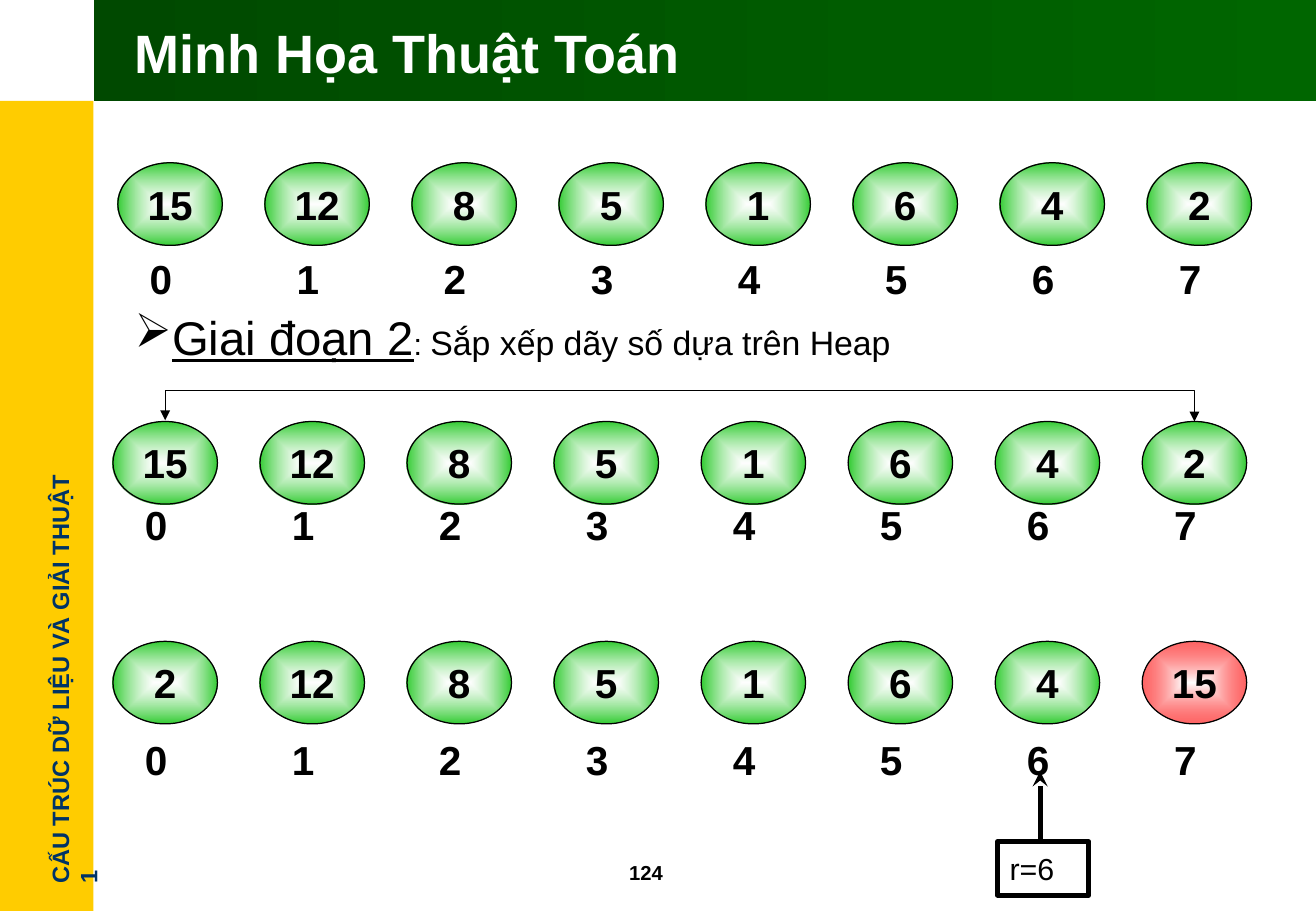
from lxml import etree
from pptx import Presentation
from pptx.dml.color import RGBColor
from pptx.enum.shapes import MSO_CONNECTOR, MSO_SHAPE
from pptx.enum.text import MSO_ANCHOR, PP_ALIGN
from pptx.oxml import parse_xml
from pptx.oxml.ns import qn
from pptx.util import Inches, Pt

RECTANGLE = MSO_SHAPE.RECTANGLE
OVAL = MSO_SHAPE.OVAL
ELBOW = MSO_CONNECTOR.ELBOW
STRAIGHT = MSO_CONNECTOR.STRAIGHT
TOP = MSO_ANCHOR.TOP
MIDDLE = MSO_ANCHOR.MIDDLE
LEFT = PP_ALIGN.LEFT
CENTER = PP_ALIGN.CENTER

BLACK = RGBColor(0x00, 0x00, 0x00)
WHITE = RGBColor(0xFF, 0xFF, 0xFF)
YELLOW = RGBColor(0xFF, 0xCC, 0x00)
NAVY = RGBColor(0x00, 0x33, 0x66)
DARK_GREEN = RGBColor(0x00, 0x49, 0x00)
DEEP_GREEN = RGBColor(0x00, 0x66, 0x00)
NODE_GREEN = RGBColor(0x33, 0xCC, 0x33)
NODE_RED = RGBColor(0xFF, 0x00, 0x00)

DRAWING = "http://schemas.openxmlformats.org/drawingml/2006/main"
ACROSS = '<a:lin ang="0" scaled="1"/>'
FROM_CENTER = '<a:path path="shape"><a:fillToRect l="50000" t="50000" r="50000" b="50000"/></a:path>'


def write(shape, text, size=24, bold=True, color=BLACK, underline=False,
          align=LEFT, anchor=TOP, wrap=True):
    frame = shape.text_frame
    frame.word_wrap = wrap
    frame.vertical_anchor = anchor
    paragraph = frame.paragraphs[0]
    paragraph.alignment = align
    run = paragraph.add_run()
    run.text = text
    run.font.name = "Arial"
    run.font.size = Pt(size)
    run.font.bold = bold
    run.font.underline = underline
    run.font.color.rgb = color


def fill_gradient(shape, start, end, direction, start_alpha=100, end_alpha=100):
    stops = "".join(
        f'<a:gs pos="{pos}"><a:srgbClr val="{color}"><a:alpha val="{alpha * 1000}"/></a:srgbClr></a:gs>'
        for pos, color, alpha in ((0, start, start_alpha), (100000, end, end_alpha)))
    gradient = parse_xml(f'<a:gradFill xmlns:a="{DRAWING}" rotWithShape="1">'
                         f'<a:gsLst>{stops}</a:gsLst>{direction}</a:gradFill>')
    shape._element.spPr.find(qn("a:prstGeom")).addnext(gradient)


prs = Presentation()
prs.slide_width = Inches(10.83)
prs.slide_height = Inches(7.5)
slide = prs.slides.add_slide(prs.slide_layouts[6])
shapes = slide.shapes

sidebar = shapes.add_shape(RECTANGLE, 0, Inches(0.83), Inches(0.77), Inches(6.67))
sidebar.shadow.inherit = False
sidebar.fill.solid()
sidebar.fill.fore_color.rgb = YELLOW
sidebar.line.fill.background()

course = shapes.add_textbox(Inches(-1.37), Inches(5.35), Inches(3.72), Inches(0.33))
course.rotation = 270
write(course, "CẤU TRÚC DỮ LIỆU VÀ GIẢI THUẬT 1", size=14, color=NAVY)

header = shapes.add_shape(RECTANGLE, Inches(0.77), 0, Inches(10.08), Inches(0.83))
header.shadow.inherit = False
header.line.fill.background()
fill_gradient(header, DARK_GREEN, DEEP_GREEN, ACROSS)

page_number = shapes.add_textbox(Inches(5.08), Inches(7.03), Inches(0.83), Inches(0.3))
write(page_number, "124", size=12)

title = shapes.add_textbox(Inches(1.01), Inches(0.09), Inches(9.61), Inches(0.67))
write(title, "Minh Họa Thuật Toán", size=32, color=WHITE, anchor=MIDDLE)

phase = shapes.add_textbox(Inches(1.01), Inches(2.49), Inches(6.61), Inches(0.57))
phase_format = phase.text_frame.paragraphs[0]._p.get_or_add_pPr()
phase_format.set("marL", "0")
phase_format.set("indent", "0")
etree.SubElement(phase_format, qn("a:buChar")).set("char", "➢")
write(phase, "Giai đoạn 2", size=28, bold=False, underline=True)
write(phase, ": ", size=18, bold=False)
write(phase, "Sắp xếp dãy số dựa trên Heap", size=20, bold=False)

array_rows = [
    (0.97, 1.34, 1.96, [15, 12, 8, 5, 1, 6, 4, 2], None),
    (0.93, 3.47, 3.99, [15, 12, 8, 5, 1, 6, 4, 2], None),
    (0.93, 5.28, 5.92, [2, 12, 8, 5, 1, 6, 4, 15], 7),
]
node_rows = []
for row_left, node_top, index_top, values, sorted_index in array_rows:
    nodes = []
    indices = shapes.add_group_shape()
    for index, value in enumerate(values):
        left = row_left + 1.21 * index
        node = shapes.add_shape(OVAL, Inches(left), Inches(node_top), Inches(0.86), Inches(0.68))
        node.shadow.inherit = False
        node.line.color.rgb = BLACK
        node.line.width = Pt(0.75)
        if index == sorted_index:
            fill_gradient(node, WHITE, NODE_RED, FROM_CENTER, end_alpha=60)
        else:
            fill_gradient(node, WHITE, NODE_GREEN, FROM_CENTER, start_alpha=60)
        write(node, str(value), align=CENTER, anchor=MIDDLE, wrap=False)
        nodes.append(node)

        position = indices.shapes.add_shape(
            OVAL, Inches(left - 0.08), Inches(index_top), Inches(0.87), Inches(0.66))
        position.shadow.inherit = False
        position.fill.background()
        position.line.fill.background()
        write(position, str(index), align=CENTER, anchor=MIDDLE, wrap=False)
    node_rows.append(nodes)

swap = shapes.add_connector(ELBOW, Inches(1.36), Inches(3.47), Inches(9.83), Inches(3.47))
swap.begin_connect(node_rows[1][0], 0)
swap.end_connect(node_rows[1][7], 0)
swap.left, swap.top = Inches(5.59), Inches(-0.77)
swap.width, swap.height = Inches(0.01), Inches(8.47)
swap_frame = swap._element.spPr.find(qn("a:xfrm"))
swap_frame.set("rot", "5400000")
swap_frame.set("flipV", "1")
bend = etree.SubElement(swap._element.spPr.find(qn("a:prstGeom")).find(qn("a:avLst")), qn("a:gd"))
bend.set("name", "adj1")
bend.set("fmla", "val -2500000")

boundary = shapes.add_shape(RECTANGLE, Inches(8.21), Inches(6.93), Inches(0.75), Inches(0.44))
boundary.shadow.inherit = False
boundary.fill.background()
boundary.line.color.rgb = BLACK
boundary.line.width = Pt(3)
write(boundary, "r=6", size=18, bold=False, anchor=MIDDLE)

pointer = shapes.add_connector(STRAIGHT, Inches(8.56), Inches(6.93), Inches(8.56), Inches(6.35))

for arrow, width, heads in (
    (swap, 0.75, {"headEnd": "triangle", "tailEnd": "triangle"}),
    (pointer, 3, {"tailEnd": "stealth"}),
):
    arrow.line.color.rgb = BLACK
    arrow.line.width = Pt(width)
    for end, head in heads.items():
        etree.SubElement(arrow.line._get_or_add_ln(), qn(f"a:{end}")).set("type", head)
    etree.SubElement(arrow._element.spPr, qn("a:effectLst"))

prs.save("out.pptx")
